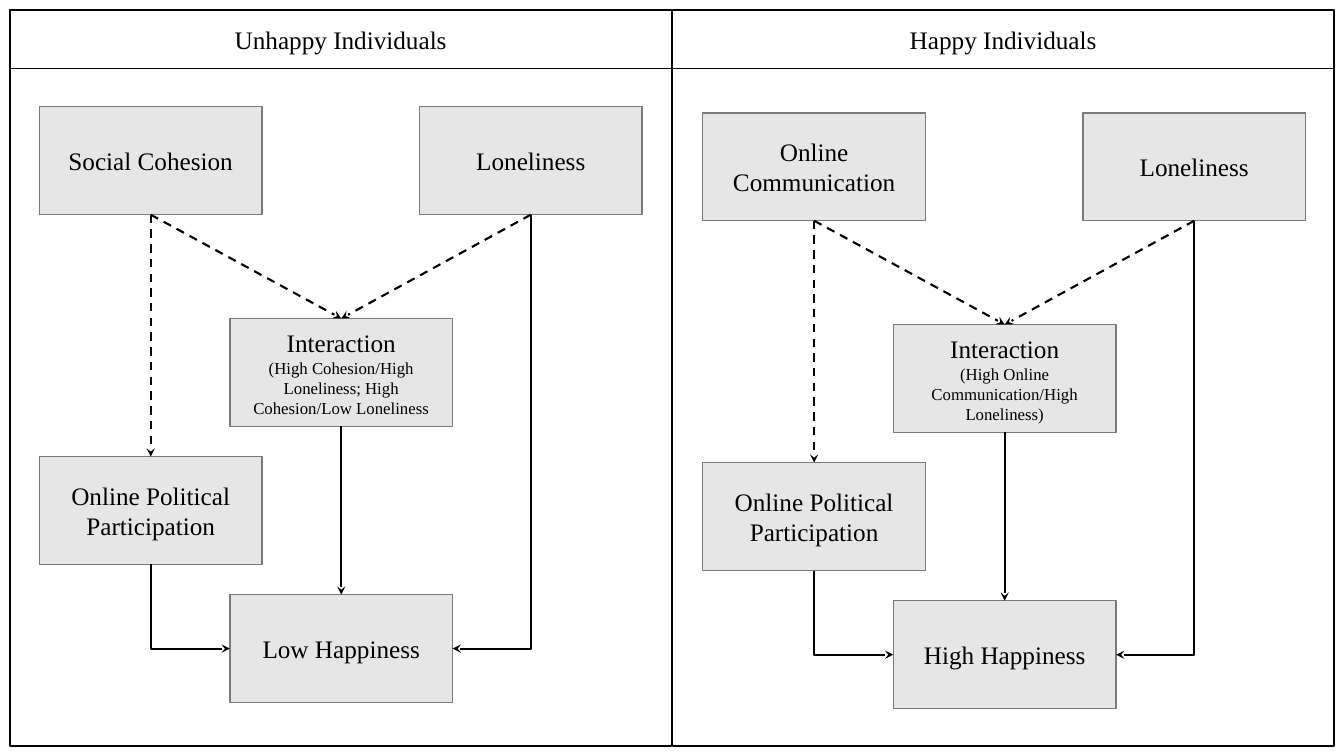
from dataclasses import dataclass

from lxml import etree
from pptx import Presentation
from pptx.dml.color import RGBColor
from pptx.enum.dml import MSO_LINE
from pptx.enum.shapes import MSO_CONNECTOR as CONNECTOR, MSO_SHAPE as SHAPE
from pptx.enum.text import MSO_ANCHOR as ANCHOR, PP_ALIGN as ALIGN
from pptx.oxml.ns import qn
from pptx.util import Inches, Pt


@dataclass(frozen=True)
class Theme:
    font: str = "Times New Roman"
    ink: RGBColor = RGBColor(0, 0, 0)
    paper: RGBColor = RGBColor(0xFF, 0xFF, 0xFF)
    factor_fill: RGBColor = RGBColor(0xE7, 0xE6, 0xE6)
    factor_line: RGBColor = RGBColor(0x7A, 0x7A, 0x7A)
    label_size: int = 18
    detail_size: int = 12
    border: float = 1
    arrow: float = 1.5


THEME = Theme()
TOP, LEFT, BOTTOM, RIGHT = range(4)

PANEL_TOP, PANEL_WIDTH, PANEL_HEIGHT, HEADER_HEIGHT = 0.1, 6.56, 7.3, 0.58
FACTOR_WIDTH, FACTOR_HEIGHT = 2.21, 1.07
COLUMNS = (0, 1.89, 3.77)
ROWS = (0, 2.1, 3.47, 4.84)

# Each factor's column and row in a panel's diagram
PLACES = {
    "cause": (0, 0),
    "loneliness": (2, 0),
    "interaction": (1, 1),
    "participation": (0, 2),
    "outcome": (1, 3),
}
# From, side, to, side, dashed
STRAIGHT_ARROWS = (
    ("cause", BOTTOM, "interaction", TOP, True),
    ("loneliness", BOTTOM, "interaction", TOP, True),
    ("cause", BOTTOM, "participation", TOP, True),
    ("interaction", BOTTOM, "outcome", TOP, False),
)
ELBOW_ARROWS = (("participation", LEFT), ("loneliness", RIGHT))

# Panel left, diagram left and top, title, factor texts
PANELS = (
    (0.1, 0.39, 1.06, "Unhappy Individuals", {
        "cause": ("Social Cohesion",),
        "loneliness": ("Loneliness",),
        "interaction": ("Interaction", "(High Cohesion/High Loneliness; High Cohesion/Low Loneliness"),
        "participation": ("Online Political Participation",),
        "outcome": ("Low Happiness",),
    }),
    (6.67, 6.97, 1.12, "Happy Individuals", {
        "cause": ("Online Communication",),
        "loneliness": ("Loneliness",),
        "interaction": ("Interaction", "(High Online Communication/High Loneliness)"),
        "participation": ("Online Political Participation",),
        "outcome": ("High Happiness",),
    }),
)


def add_box(slide, left, top, width, height, fill, line, texts=()):
    """Draw a bordered rectangle; the first text is its label, the rest are detail."""
    box = slide.shapes.add_shape(SHAPE.RECTANGLE, *map(Inches, (left, top, width, height)))
    box.shadow.inherit = False
    box.fill.solid()
    box.fill.fore_color.rgb = fill
    box.line.color.rgb = line
    box.line.width = Pt(THEME.border)
    frame = box.text_frame
    frame.word_wrap = True
    frame.vertical_anchor = ANCHOR.MIDDLE
    for index, text in enumerate(texts):
        paragraph = frame.add_paragraph() if index else frame.paragraphs[0]
        paragraph.alignment = ALIGN.CENTER
        run = paragraph.add_run()
        run.text = text
        size = THEME.detail_size if index else THEME.label_size
        for name, value in {"name": THEME.font, "size": Pt(size)}.items():
            setattr(run.font, name, value)
        run.font.color.rgb = THEME.ink
    return box


def add_arrow(slide, kind, source, source_side, target, target_side, dashed=False):
    arrow = slide.shapes.add_connector(kind, 0, 0, 0, 0)
    arrow.begin_connect(source, source_side)
    arrow.end_connect(target, target_side)
    arrow.line.color.rgb = THEME.ink
    arrow.line.width = Pt(THEME.arrow)
    if dashed:
        arrow.line.dash_style = MSO_LINE.DASH
    line = arrow.line._get_or_add_ln()
    etree.SubElement(line, qn("a:tailEnd"), type="stealth")
    etree.SubElement(arrow._element.spPr, qn("a:effectLst"))
    return arrow


def add_elbow(slide, source, target, side):
    """Run down from the source's bottom, then across into the target's side."""
    arrow = add_arrow(slide, CONNECTOR.ELBOW, source, BOTTOM, target, side)
    center_x = (arrow.begin_x + arrow.end_x) // 2
    center_y = (arrow.begin_y + arrow.end_y) // 2
    drop, reach = arrow.height, arrow.width
    # The one-bend preset lies on its side, so its frame is turned about its centre
    arrow.left, arrow.top = center_x - drop // 2, center_y - reach // 2
    arrow.width, arrow.height = drop, reach
    properties = arrow._element.spPr
    properties.find(qn("a:prstGeom")).set("prst", "bentConnector2")
    frame = properties.find(qn("a:xfrm"))
    quarter_turns = 3 if side == LEFT else 1
    frame.set("rot", str(quarter_turns * 90 * 60000))
    frame.set("flipH", "1" if side == LEFT else "0")
    frame.set("flipV", "0")


def add_diagram(slide, left, top, texts):
    factors = {}
    for factor, (column, row) in PLACES.items():
        factors[factor] = add_box(
            slide, left + COLUMNS[column], top + ROWS[row], FACTOR_WIDTH, FACTOR_HEIGHT,
            THEME.factor_fill, THEME.factor_line, texts[factor])
    for source, source_side, target, target_side, dashed in STRAIGHT_ARROWS:
        add_arrow(slide, CONNECTOR.STRAIGHT, factors[source], source_side,
                  factors[target], target_side, dashed)
    for source, side in ELBOW_ARROWS:
        add_elbow(slide, factors[source], factors["outcome"], side)


def add_panel(slide, left, title):
    for height, texts in ((PANEL_HEIGHT, ()), (HEADER_HEIGHT, (title,))):
        add_box(slide, left, PANEL_TOP, PANEL_WIDTH, height, THEME.paper, THEME.ink, texts)


def main():
    deck = Presentation()
    deck.slide_width, deck.slide_height = Inches(13.33), Inches(7.5)
    slide = deck.slides.add_slide(deck.slide_layouts[6])
    for panel_left, diagram_left, diagram_top, title, texts in PANELS:
        add_panel(slide, panel_left, title)
        add_diagram(slide, diagram_left, diagram_top, texts)
    deck.save("out.pptx")


if __name__ == "__main__":
    main()
